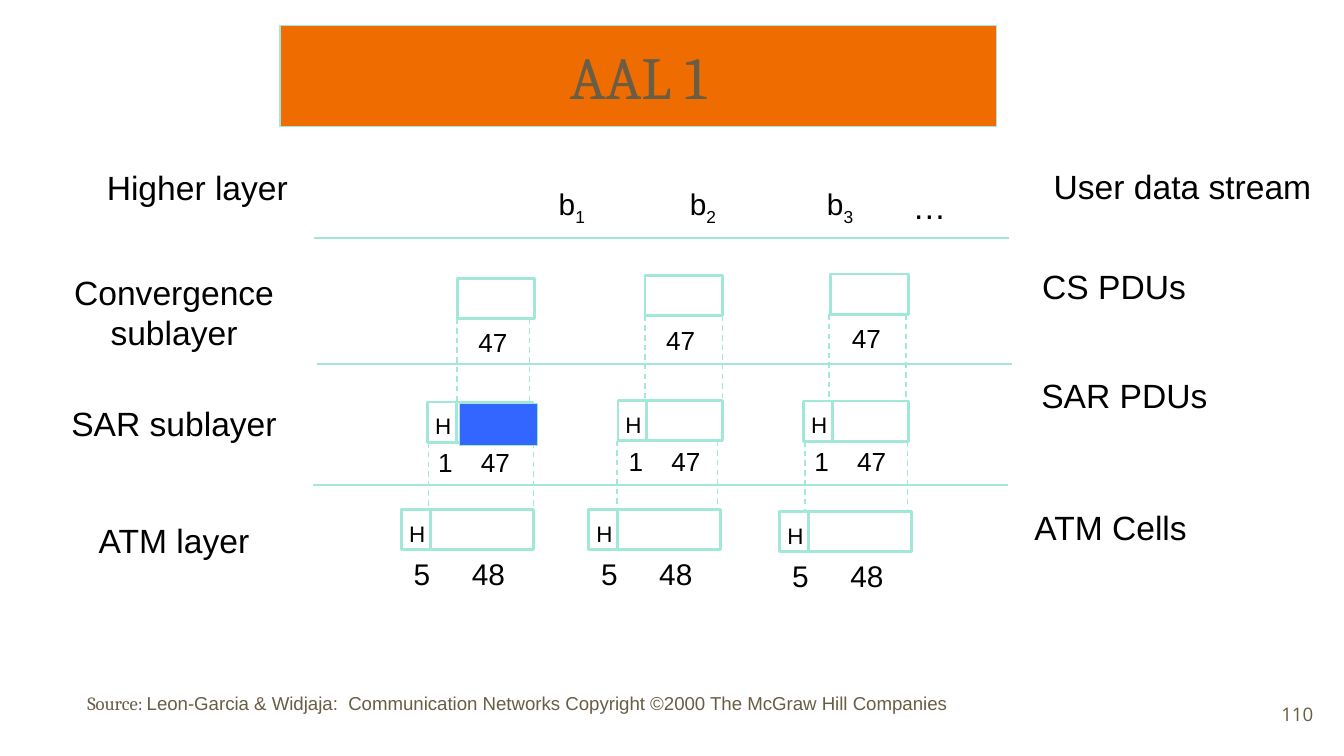
from dataclasses import dataclass
from typing import NamedTuple

from lxml import etree
from pptx import Presentation
from pptx import util as u
from pptx.dml.color import RGBColor
from pptx.enum import dml, shapes, text
from pptx.oxml import ns


@dataclass(frozen=True)
class Theme:
    outline: str = "A1E8D9"
    banner: str = "EF6C00"
    payload: str = "3366FF"
    ink: str = "000000"
    muted: str = "695D46"
    body: str = "Arial"
    serif: str = "Cambria"
    number: str = "Open Sans"
    title_size: int = 32
    label_size: int = 18
    cell_size: int = 16
    unit_size: int = 14
    header_size: int = 12
    note_size: int = 10
    thin: float = 0.75
    thick: float = 1.5


class Box(NamedTuple):
    left: float
    top: float
    width: float
    height: float

    def inner(self, left, top, width, height):
        return Box(self.left + left, self.top + top, width, height)

    def lengths(self):
        return [u.Cm(value) for value in self]


class Column(NamedTuple):
    convergence: Box
    segment: Box
    cell: Box
    upper_guides: tuple
    lower_guides: tuple
    filled: bool


THEME = Theme()
CENTER = text.PP_ALIGN.CENTER
LEFT = text.PP_ALIGN.LEFT
RIGHT = text.PP_ALIGN.RIGHT

COLUMNS = [
    Column(Box(8.64, 5.26, 1.47, 0.76), Box(8.08, 7.6, 1.98, 0.76),
           Box(7.59, 9.63, 2.49, 0.76), (8.64, 10.01), (8.1, 10.08), True),
    Column(Box(12.19, 5.21, 1.47, 0.76), Box(11.68, 7.57, 1.98, 0.76),
           Box(11.13, 9.63, 2.49, 0.76), (12.19, 13.66), (11.66, 13.56), False),
    Column(Box(15.7, 5.18, 1.47, 0.76), Box(15.19, 7.58, 1.98, 0.76),
           Box(14.74, 9.67, 2.49, 0.76), (15.67, 17.12), (15.21, 17.15), False),
]
LAYER_NAMES = [
    ("Higher layer", Box(1.75, 3.02, 3.96, 1.02)),
    ("Convergence sublayer", Box(0.56, 5, 5.46, 1.8)),
    ("SAR sublayer", Box(0.56, 7.49, 5.46, 1.02)),
    ("ATM layer", Box(0.56, 9.7, 5.46, 1.02)),
]
UNIT_NAMES = [
    ("User data stream", Box(19.63, 3, 5.44, 1.02)),
    ("CS PDUs", Box(19.43, 4.9, 3.25, 1.02)),
    ("SAR PDUs", Box(19.41, 6.96, 3.68, 1.02)),
    ("ATM Cells", Box(19.25, 9.45, 3.48, 1.02)),
]
LAYER_RULES = [(5.94, 4.5), (5.99, 6.88), (5.92, 9.17)]
RULE_LENGTH = 13.13


def add_span(para, words, size, font=THEME.body, color=THEME.ink):
    span = para.add_run()
    span.text = words
    span.font.size = u.Pt(size)
    span.font.name = font
    span.font.color.rgb = RGBColor.from_string(color)
    return span


def add_para(page, box, align=CENTER, wrap=True, anchor=text.MSO_ANCHOR.MIDDLE):
    frame = page.shapes.add_textbox(*box.lengths()).text_frame
    frame.word_wrap = wrap
    frame.vertical_anchor = anchor
    para = frame.paragraphs[0]
    para.alignment = align
    return para


def add_label(page, box, words, size, wrap=False):
    add_span(add_para(page, box, wrap=wrap), words, size)


def set_tabs(para, stops):
    tabs = etree.SubElement(para._p.get_or_add_pPr(), ns.qn("a:tabLst"))
    for stop in stops:
        etree.SubElement(tabs, ns.qn("a:tab"), pos=str(u.Cm(stop)), algn="l")


def add_rect(page, box, weight=THEME.thick, fill=None):
    rect = page.shapes.add_shape(shapes.MSO_SHAPE.RECTANGLE, *box.lengths())
    rect.shadow.inherit = False
    rect.line.color.rgb = RGBColor.from_string(THEME.outline)
    rect.line.width = u.Pt(weight)
    if fill:
        rect.fill.solid()
        rect.fill.fore_color.rgb = RGBColor.from_string(fill)
    else:
        rect.fill.background()
    return rect


def add_line(page, start, end, weight=THEME.thin, dashed=False):
    line = page.shapes.add_connector(
        shapes.MSO_CONNECTOR.STRAIGHT, *[u.Cm(value) for value in (*start, *end)])
    line.line.color.rgb = RGBColor.from_string(THEME.outline)
    line.line.width = u.Pt(weight)
    if dashed:
        line.line.dash_style = dml.MSO_LINE.DASH
    etree.SubElement(line._element.spPr, ns.qn("a:effectLst"))


def add_title(page, box):
    banner = add_rect(page, box, THEME.thin, THEME.banner)
    banner.text_frame.vertical_anchor = text.MSO_ANCHOR.MIDDLE
    para = banner.text_frame.paragraphs[0]
    para.alignment = CENTER
    add_span(para, "AAL 1", THEME.title_size, THEME.serif, THEME.muted)


def add_stream(page, box):
    para = add_para(page, box, LEFT)
    set_tabs(para, (2.48, 5.07))
    for number, lead in enumerate(("b", "\tb", "\tb"), 1):
        add_span(para, lead, THEME.cell_size)
        index = add_span(para, str(number), THEME.cell_size)
        index.font._element.set("baseline", "-25000")
    add_label(page, box.inner(6.58, -0.05, 1.35, 1.02), "…", THEME.label_size)


def add_sizes(page, box, header, payload, size, stop):
    para = add_para(page, box, LEFT)
    set_tabs(para, [stop])
    add_span(para, f"{header}\t{payload}", size)


def add_convergence_unit(page, box):
    add_rect(page, box)
    add_label(page, box.inner(0.14, 0.78, 1.07, 0.86), "47", THEME.unit_size)


def add_headed_unit(page, box, divider):
    add_rect(page, box)
    x = box.left + divider
    add_line(page, (x, box.top), (x, box.top + box.height), THEME.thick)
    add_label(page, box.inner(-0.11, 0.07, 0.81, 0.76), "H", THEME.header_size)


def add_guides(page, positions, top, bottom):
    for x in positions:
        add_line(page, (x, top), (x, bottom), dashed=True)


def add_column(page, column):
    convergence, segment, cell = column[:3]
    add_guides(page, column.upper_guides, convergence.top + convergence.height, segment.top)
    add_guides(page, column.lower_guides, segment.top + segment.height, cell.top)
    add_convergence_unit(page, convergence)
    add_headed_unit(page, segment, 0.54)
    add_sizes(page, segment.inner(-0.05, 0.71, 2.1, 0.86), 1, 47, THEME.unit_size, 0.81)
    add_headed_unit(page, cell, 0.54)
    add_sizes(page, cell.inner(-0.02, 0.74, 2.5, 0.94), 5, 48, THEME.cell_size, 1.1)
    if column.filled:
        add_rect(page, segment.inner(0.61, 0.03, 1.47, 0.79), THEME.thin, THEME.payload)


def add_footer(page, source_box, number_box):
    source = add_para(page, source_box, LEFT, anchor=text.MSO_ANCHOR.TOP)
    add_span(source, "Source: ", THEME.note_size, THEME.serif, THEME.muted)
    add_span(source, "Leon-Garcia & Widjaja:  Communication Networks "
             "Copyright ©2000 The McGraw Hill Companies", THEME.note_size, color=THEME.muted)
    number = add_para(page, number_box, RIGHT)
    add_span(number, "110", THEME.note_size, THEME.number, THEME.muted)


def main():
    deck = Presentation()
    deck.slide_width, deck.slide_height = u.Cm(25.4), u.Cm(14.29)
    page = deck.slides.add_slide(deck.slide_layouts[6])
    add_title(page, Box(5.29, 0.48, 13.54, 1.91))
    for words, box in LAYER_NAMES + UNIT_NAMES:
        add_label(page, box, words, THEME.label_size, wrap=box.width > 5.45)
    add_stream(page, Box(10.31, 3.43, 6.6, 0.94))
    for x, y in LAYER_RULES:
        add_line(page, (x, y), (x + RULE_LENGTH, y))
    for column in COLUMNS:
        add_column(page, column)
    add_footer(page, Box(1.4, 12.95, 22.53, 1.12), Box(23.55, 12.95, 1.52, 1.09))
    deck.save("out.pptx")


if __name__ == "__main__":
    main()
